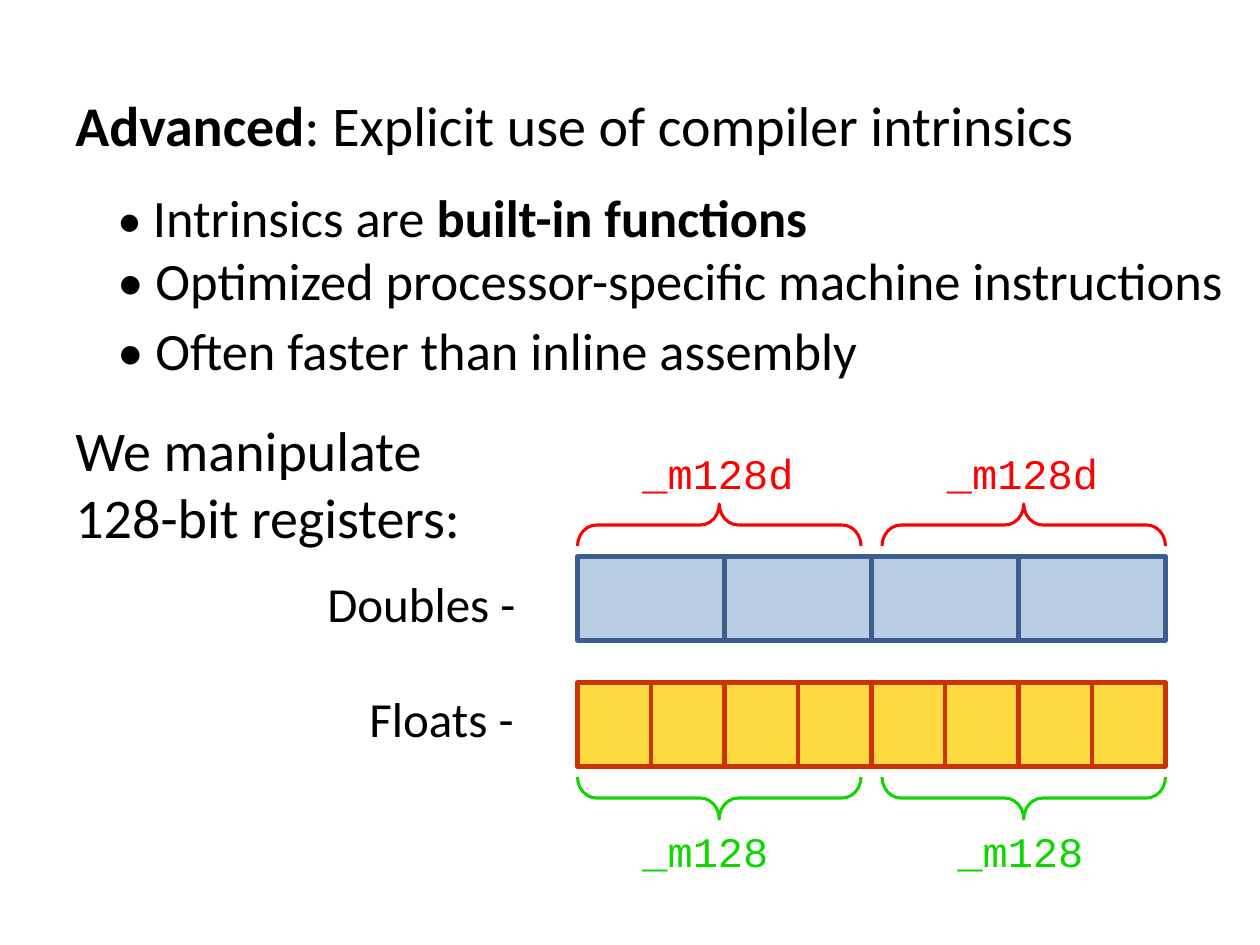
from pptx import Presentation
from pptx.dml.color import RGBColor
from pptx.enum.shapes import MSO_SHAPE as Shape
from pptx.util import Pt

COLORS = {
    "text": "000000",
    "double_fill": "B9CDE5",
    "double_line": "3A5F8C",
    "float_fill": "FEDA40",
    "float_line": "CC3300",
    "double_type": "FF0000",
    "float_type": "0FD600",
}
REGISTER_LEFT = 330
REGISTER_WIDTH = 336
CELL_HEIGHT = 48
BRACE_DEPTH = 24
BRACE_SPAN = 162
BRACE_STEP = REGISTER_WIDTH - BRACE_SPAN


def color(name):
    return RGBColor.from_string(COLORS[name])


def add_text(page, area, spans, font="Calibri", ink="text"):
    box = page.shapes.add_textbox(*map(Pt, area))
    frame = box.text_frame
    frame.word_wrap = True
    for text, size, bold in spans:
        span = frame.paragraphs[0].add_run()
        span.text = text
        span.font.name = font
        span.font.size = Pt(size)
        span.font.bold = bold
        span.font.color.rgb = color(ink)


def add_register(page, top, count, kind):
    width = REGISTER_WIDTH / count
    for index in range(count):
        left = REGISTER_LEFT + index * width
        cell = page.shapes.add_shape(
            Shape.RECTANGLE, Pt(left), Pt(top), Pt(width), Pt(CELL_HEIGHT))
        cell.shadow.inherit = False
        cell.fill.solid()
        cell.fill.fore_color.rgb = color(f"{kind}_fill")
        cell.line.color.rgb = color(f"{kind}_line")
        cell.line.width = Pt(2.5)


def add_braces(page, top, rotation, ink):
    for index in range(2):
        center = REGISTER_LEFT + BRACE_SPAN / 2 + index * BRACE_STEP
        brace = page.shapes.add_shape(
            Shape.LEFT_BRACE, Pt(center - BRACE_DEPTH / 2), Pt(top),
            Pt(BRACE_DEPTH), Pt(BRACE_SPAN))
        brace.adjustments[0] = 0.45
        brace.rotation = rotation
        brace.shadow.inherit = False
        brace.fill.background()
        brace.line.color.rgb = color(ink)
        brace.line.width = Pt(1.75)


def add_type_names(page, lefts, top, name, ink):
    for left in lefts:
        add_text(page, (left, top, 108, 36), [(name, 24, False)],
                 "Courier New", ink)


def main():
    deck = Presentation()
    deck.slide_width, deck.slide_height = Pt(720), Pt(540)
    page = deck.slides.add_slide(deck.slide_layouts[6])

    add_text(page, (36, 48, 630, 46), [
        ("Advanced", 32, True),
        (": Explicit use of compiler intrinsics", 32, False)])
    add_text(page, (60, 102, 528, 44), [
        ("• ", 28, False),
        ("Intrinsics are ", 30, False),
        ("built-in functions", 30, True)])
    for top, text in (
            (138, "• Optimized processor-specific machine instructions"),
            (178, "• Often faster than inline assembly")):
        add_text(page, (60, top, 660, 44), [(text, 30, False)])
    add_text(page, (36, 234, 240, 85),
             [("We manipulate 128-bit registers:", 32, False)])
    add_text(page, (180, 324, 138, 41), [("Doubles -", 28, False)])
    add_text(page, (204, 390, 156, 41), [("Floats -", 28, False)])

    add_register(page, 318, 4, "double")
    add_braces(page, 219, 90, "double_type")
    add_type_names(page, (360, 534), 252, "_m128d", "double_type")

    add_register(page, 390, 8, "float")
    add_braces(page, 375, 270, "float_type")
    add_type_names(page, (360, 540), 468, "_m128", "float_type")

    deck.save("out.pptx")


if __name__ == "__main__":
    main()
